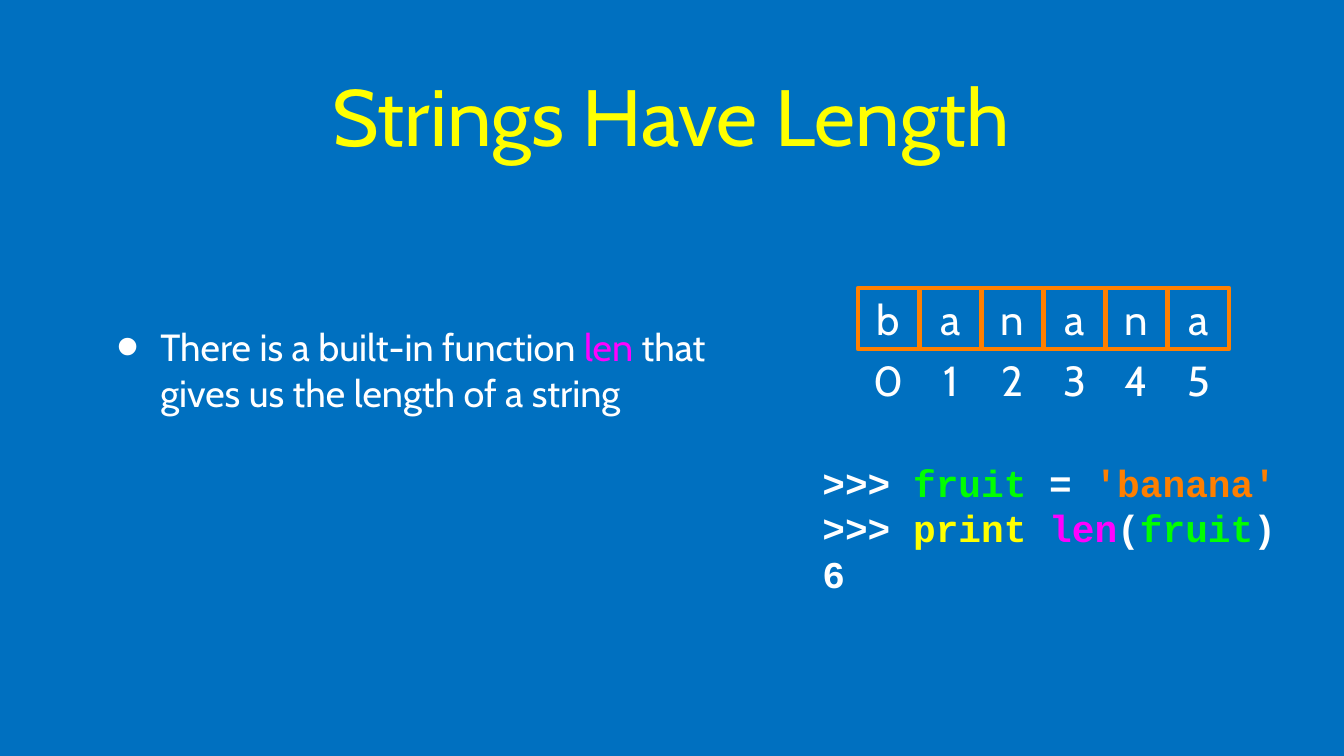
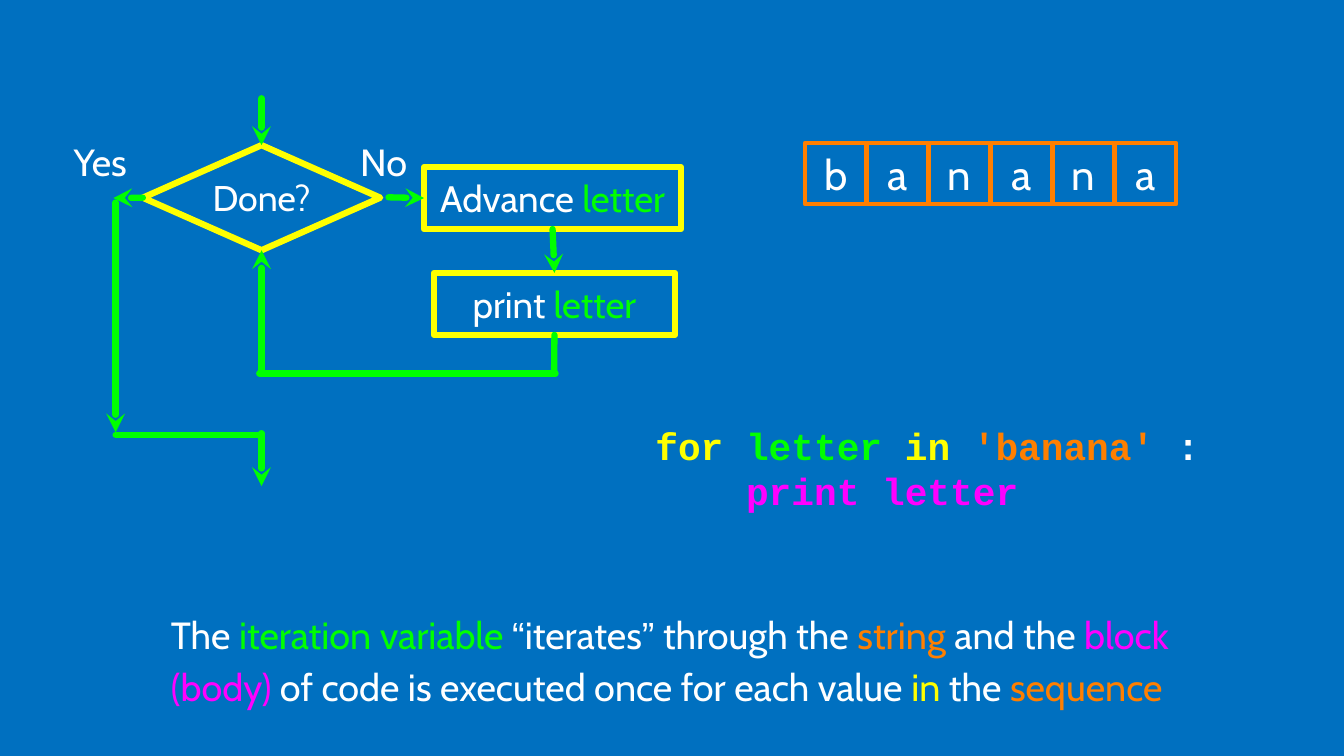
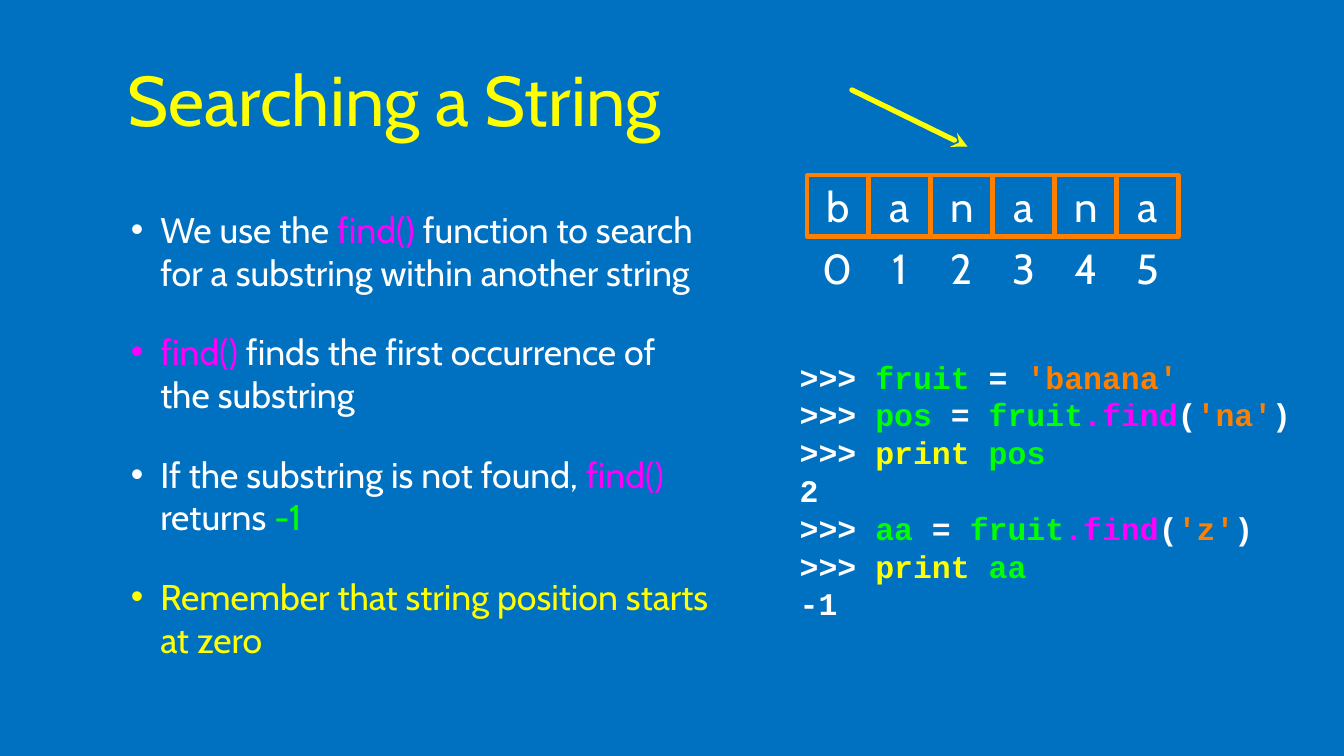
from lxml import etree
from pptx import Presentation
from pptx.dml.color import RGBColor
from pptx.enum import shapes, text
from pptx.oxml import ns
from pptx.util import Inches, Pt

BLUE = RGBColor(0x00, 0x70, 0xC0)
WHITE = RGBColor(0xFF, 0xFF, 0xFF)
YELLOW = RGBColor(0xFF, 0xFF, 0x00)
GREEN = RGBColor(0x00, 0xFF, 0x00)
PINK = RGBColor(0xFF, 0x00, 0xFF)
ORANGE = RGBColor(0xFF, 0x7F, 0x00)

SANS, MONO, QUOTE = "Cabin", "Courier New", "Arial"
LEFT, MID = text.PP_ALIGN.LEFT, text.PP_ALIGN.CENTER
RECT, DIAMOND = shapes.MSO_SHAPE.RECTANGLE, shapes.MSO_SHAPE.DIAMOND
TOP, WEST, BOTTOM = 0, 1, 2
CELL, STEP = 0.81, 0.82
WORD = "banana"
PROMPT = (">>> ", WHITE)


def child(parent, tag, **attrs):
    """Add a drawing element under parent."""
    return etree.SubElement(parent, ns.qn("a:" + tag), attrs)


def write(shape, paras, size, font=SANS, align=LEFT, pad=0):
    """Fill a shape with paragraphs of (text, colour[, font]) runs."""
    frame = shape.text_frame
    frame.word_wrap = True
    frame.vertical_anchor = text.MSO_ANCHOR.MIDDLE
    frame.margin_left = frame.margin_right = Inches(pad)
    frame.margin_top = frame.margin_bottom = Inches(pad)
    for i, runs in enumerate(paras):
        para = frame.paragraphs[0] if i == 0 else frame.add_paragraph()
        para.alignment = align
        para.font.name, para.font.size = font, Pt(size)
        para.font.bold = font == MONO
        para.font.color.rgb = runs[0][1]
        for words, colour, *face in runs:
            run = para.add_run()
            run.text = words
            if colour != runs[0][1]:
                run.font.color.rgb = colour
            if face:
                run.font.name = face[0]
    return frame.paragraphs


def label(slide, box, paras, size, **style):
    """Place a text box and return its paragraphs."""
    return write(slide.shapes.add_textbox(*map(Inches, box)), paras, size, **style)


def frame(slide, kind, box, line, width, runs, size):
    """Place an outlined shape with centred text."""
    shape = slide.shapes.add_shape(kind, *map(Inches, box))
    shape.shadow.inherit = False
    shape.fill.background()
    shape.line.color.rgb, shape.line.width = line, Pt(width)
    write(shape, [runs], size, align=MID)
    return shape


def link(slide, ends, colour, width, arrow=True):
    """Draw a round-capped line, with an arrowhead at its end if asked."""
    line = slide.shapes.add_connector(shapes.MSO_CONNECTOR.STRAIGHT, *map(Inches, ends))
    line.line.color.rgb, line.line.width = colour, Pt(width)
    edge = line.line._get_or_add_ln()
    edge.set("cap", "rnd")
    if arrow:
        child(edge, "tailEnd", type="stealth")
    child(line._element.spPr, "effectLst")
    return line


def title(slide, box, words, size):
    """Place a yellow slide title."""
    label(slide, box, [[(words, YELLOW)]], size, align=MID, pad=0.04)


def bullets(slide, box, paras, size, hang, scale=100, gap=0):
    """Place a bulleted list whose bullets take their first run's colour."""
    for i, para in enumerate(label(slide, box, paras, size, pad=0.04)):
        para.space_before = Pt(gap if i else 0)
        props = para._p.get_or_add_pPr()
        props.set("marL", str(Inches(0.82)))
        props.set("indent", str(-Inches(hang)))
        tint = etree.Element(ns.qn("a:buClr"))
        child(tint, "srgbClr", val=str(paras[i][0][1]))
        ratio = etree.Element(ns.qn("a:buSzPct"), val=str(scale * 1000))
        face = etree.Element(ns.qn("a:buFont"), typeface=QUOTE)
        mark = etree.Element(ns.qn("a:buChar"), char="•")
        base = props.find(ns.qn("a:defRPr"))
        for item in (tint, ratio, face, mark):
            base.addprevious(item)


def cells(slide, left, top, index=True):
    """Draw the word letter by letter, with positions below if asked."""
    for i, letter in enumerate(WORD):
        x = left + i * STEP
        if index:
            label(slide, (x, top + CELL, CELL, CELL), [[(str(i), WHITE)]], 40, align=MID)
        frame(slide, RECT, (x, top, CELL, CELL), ORANGE, 4, [(letter, WHITE)], 40)


def flow(slide, left, top):
    """Draw the loop flowchart from its top left corner."""
    def node(kind, x, y, w, h, runs, size):
        return frame(slide, kind, (left + x, top + y, w, h), YELLOW, 6, runs, size)

    test = node(DIAMOND, 0.96, 0.62, 3.14, 1.39, [("Done?", WHITE)], 34)
    step = node(RECT, 4.68, 0.91, 3.4, 0.82, [("Advance ", WHITE), ("letter", GREEN)], 35)
    show = node(RECT, 4.81, 2.31, 3.19, 0.82, [("print ", WHITE), ("letter", GREEN)], 35)
    for x, words in ((0, "Yes"), (3.75, "No")):
        label(slide, (left + x, top + 0.49, 0.79, 0.68), [[(words, WHITE)]], 36, align=MID)

    links = [
        ((2.53, 0, 2.53, 0.62), True, None, (test, TOP)),
        ((0.96, 1.32, 0.57, 1.32), True, (test, WEST), None),
        ((0.6, 1.38, 0.6, 4.42), True, None, None),
        ((0.6, 4.45, 2.53, 4.45), False, None, None),
        ((2.53, 4.43, 2.53, 5.13), True, None, None),
        ((4.21, 1.31, 4.65, 1.31), True, None, (step, WEST)),
        ((6.4, 1.73, 6.4, 2.31), True, (step, BOTTOM), (show, TOP)),
        ((6.4, 3.13, 6.4, 3.64), False, (show, BOTTOM), None),
        ((6.42, 3.64, 2.5, 3.64), False, None, None),
        ((2.53, 3.64, 2.53, 2.01), True, None, (test, BOTTOM)),
    ]
    for (x1, y1, x2, y2), arrow, start, end in links:
        line = link(slide, (left + x1, top + y1, left + x2, top + y2), GREEN, 6, arrow)
        if start:
            line.begin_connect(*start)
        if end:
            line.end_connect(*end)


def length(slide):
    """Build the slide on string length."""
    title(slide, (1.26, 0.26, 15.24, 2.51), "Strings Have Length", 76)
    bullets(slide, (1.26, 2.85, 8.38, 4.07), [
        [("There is a built-in function ", WHITE), ("len", PINK),
         (" that gives us the length of a string", WHITE)],
    ], 36, 0.58, 171)
    label(slide, (10.88, 6.07, 6.9, 1.82), [
        [PROMPT, ("fruit", GREEN), (" = ", WHITE), ("'banana'", ORANGE)],
        [PROMPT, ("print ", YELLOW), ("len", PINK), ("(", WHITE), ("fruit", GREEN), (")", WHITE)],
        [("6", WHITE)],
    ], 36, font=MONO)
    cells(slide, 11.35, 3.81)


def loop(slide):
    """Build the slide on looping through a string."""
    flow(slide, 0.93, 1.3)
    code = label(slide, (8.67, 5.56, 7.26, 1.25), [
        [("for ", YELLOW), ("letter ", GREEN), ("in ", YELLOW), ("'banana' ", ORANGE), (":", WHITE)],
        [("print letter", PINK)],
    ], 36, font=MONO)
    code[1]._p.get_or_add_pPr().set("marL", str(Inches(1.2)))
    cells(slide, 10.65, 1.89, index=False)
    note = label(slide, (2.26, 8.06, 13.61, 1.25), [[
        ("The", WHITE), (" iteration variable ", GREEN), ("“", WHITE, QUOTE), ("iterates", WHITE),
        ("”", WHITE, QUOTE), (" through the ", WHITE), ("string ", ORANGE), ("and the ", WHITE),
        ("block (body)", PINK), (" of code is executed once for each value ", WHITE),
        ("in", YELLOW), (" the ", WHITE), ("sequence", ORANGE),
    ]], 36)
    note[0].line_spacing = 1.15


def search(slide):
    """Build the slide on searching a string."""
    title(slide, (0.67, 0.26, 9.08, 2.07), "Searching a String", 67)
    bullets(slide, (1.26, 2.4, 8.15, 6.68), [
        [("We use the", WHITE), (" find()", PINK),
         (" function to search for a substring within another string", WHITE)],
        [("find()", PINK), (" finds the first occurrence of the substring", WHITE)],
        [("If the substring is not found, ", WHITE), ("find()", PINK),
         (" returns ", WHITE), ("-1", GREEN)],
        [("Remember that string position starts at zero", YELLOW)],
    ], 34, 0.39, gap=35)

    def call(name, sought):
        return [PROMPT, (name, GREEN), (" = ", WHITE), ("fruit", GREEN), (".find", PINK),
                ("(", WHITE), (sought, ORANGE), (")", WHITE)]

    def echo(name, value):
        return [[PROMPT, ("print ", YELLOW), (name, GREEN)], [(value, WHITE)]]

    label(slide, (10.58, 4.36, 6.83, 4.24), [
        [PROMPT, ("fruit", GREEN), (" = ", WHITE), ("'banana'", ORANGE)],
        call("pos", "'na'"), *echo("pos", "2"),
        call("aa", "'z'"), *echo("aa", "-1"),
    ], 30, font=MONO)
    link(slide, (11.27, 1.19, 12.8, 1.94), YELLOW, 5)
    cells(slide, 10.68, 2.32)


def main():
    """Build and save the deck."""
    deck = Presentation()
    deck.slide_width, deck.slide_height = Inches(17.78), Inches(10)
    back = deck.slide_master.background.fill
    back.solid()
    back.fore_color.rgb = BLUE
    for build in (length, loop, search):
        build(deck.slides.add_slide(deck.slide_layouts[6]))
    deck.save("out.pptx")


if __name__ == "__main__":
    main()
